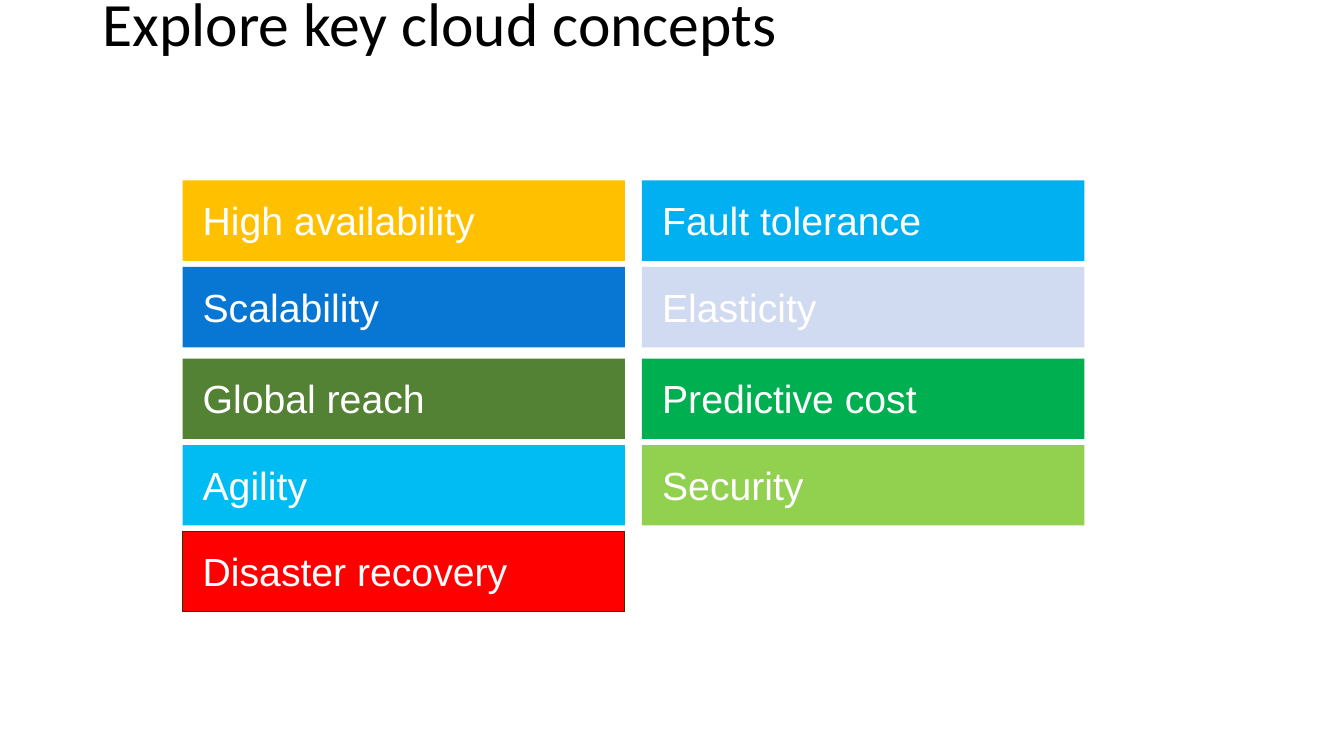
"""Build a slide of key cloud concepts as two columns of coloured tiles."""
from dataclasses import dataclass

from pptx import Presentation
from pptx.dml.color import RGBColor
from pptx.enum.shapes import MSO_SHAPE
from pptx.enum.text import MSO_ANCHOR, MSO_AUTO_SIZE, PP_ALIGN
from pptx.util import Pt

RECT = MSO_SHAPE.RECTANGLE
TOP, MIDDLE = MSO_ANCHOR.TOP, MSO_ANCHOR.MIDDLE
FIXED = MSO_AUTO_SIZE.NONE
LEFT = PP_ALIGN.LEFT


@dataclass(frozen=True)
class Theme:
    """Hold the colours, fonts and type sizes."""
    ink: str = "000000"
    paper: str = "FFFFFF"
    edge: str = "333300"
    amber: str = "FFC000"
    sky: str = "00B0F0"
    blue: str = "0877D4"
    pale: str = "D0DAF1"
    olive: str = "548235"
    green: str = "00B050"
    cyan: str = "00BCF2"
    lime: str = "92D050"
    red: str = "FF0000"
    head_font: str = "Calibri"
    tile_font: str = "Arial"
    head_size: int = 44
    tile_size: int = 28


THEME = Theme()
LEFTS = (130.4, 458.6)
START, PITCH, BREAK = 128.9, 61.8, 3.6
WIDE, HIGH = 316, 57.4
ROWS = (
    (("High availability", THEME.amber), ("Fault tolerance", THEME.sky)),
    (("Scalability", THEME.blue), ("Elasticity", THEME.pale)),
    (("Global reach", THEME.olive), ("Predictive cost", THEME.green)),
    (("Agility", THEME.cyan), ("Security", THEME.lime)),
    (("Disaster recovery", THEME.red),),
)
EDGED = "Disaster recovery"


def apply(item, values):
    """Set each named attribute on an item."""
    for name, value in values.items():
        setattr(item, name, value)


def write(shape, text, font, size, colour, side, end, anchor, space):
    """Fill a shape with one left-aligned line of text."""
    frame = shape.text_frame
    frame.text = text
    apply(frame, {
        "word_wrap": True, "auto_size": FIXED, "vertical_anchor": anchor,
        "margin_left": Pt(side), "margin_right": Pt(side),
        "margin_top": Pt(end), "margin_bottom": Pt(end),
    })
    line = frame.paragraphs[0]
    apply(line, {"alignment": LEFT, "line_spacing": space})
    style = line.runs[0].font
    apply(style, {"name": font, "size": Pt(size)})
    style.color.rgb = RGBColor.from_string(colour)


def add_title(slide, text):
    """Place and format the slide title."""
    title = slide.shapes.title
    apply(title, {"left": Pt(66), "top": Pt(0),
                  "width": Pt(828), "height": Pt(37.4)})
    write(title, text, THEME.head_font, THEME.head_size, THEME.ink,
          7.2, 3.6, MIDDLE, 0.9)


def add_tile(slide, text, fill, left, top):
    """Draw one concept tile."""
    tile = slide.shapes.add_shape(RECT, Pt(left), Pt(top), Pt(WIDE), Pt(HIGH))
    tile.shadow.inherit = False
    tile.fill.solid()
    tile.fill.fore_color.rgb = RGBColor.from_string(fill)
    if text == EDGED:
        tile.line.color.rgb = RGBColor.from_string(THEME.edge)
        tile.line.width = Pt(0.75)
    else:
        tile.line.fill.background()
    write(tile, text, THEME.tile_font, THEME.tile_size, THEME.paper,
          14.4, 11.5, TOP, 1.0)


def main():
    """Build and save the slide."""
    deck = Presentation()
    apply(deck, {"slide_width": Pt(960), "slide_height": Pt(540)})
    slide = deck.slides.add_slide(deck.slide_layouts[5])
    add_title(slide, "Explore key cloud concepts")
    for index, row in enumerate(ROWS):
        top = START + index * PITCH + (BREAK if index > 1 else 0)
        for left, (text, fill) in zip(LEFTS, row):
            add_tile(slide, text, fill, left, top)
    deck.save("out.pptx")


main()
